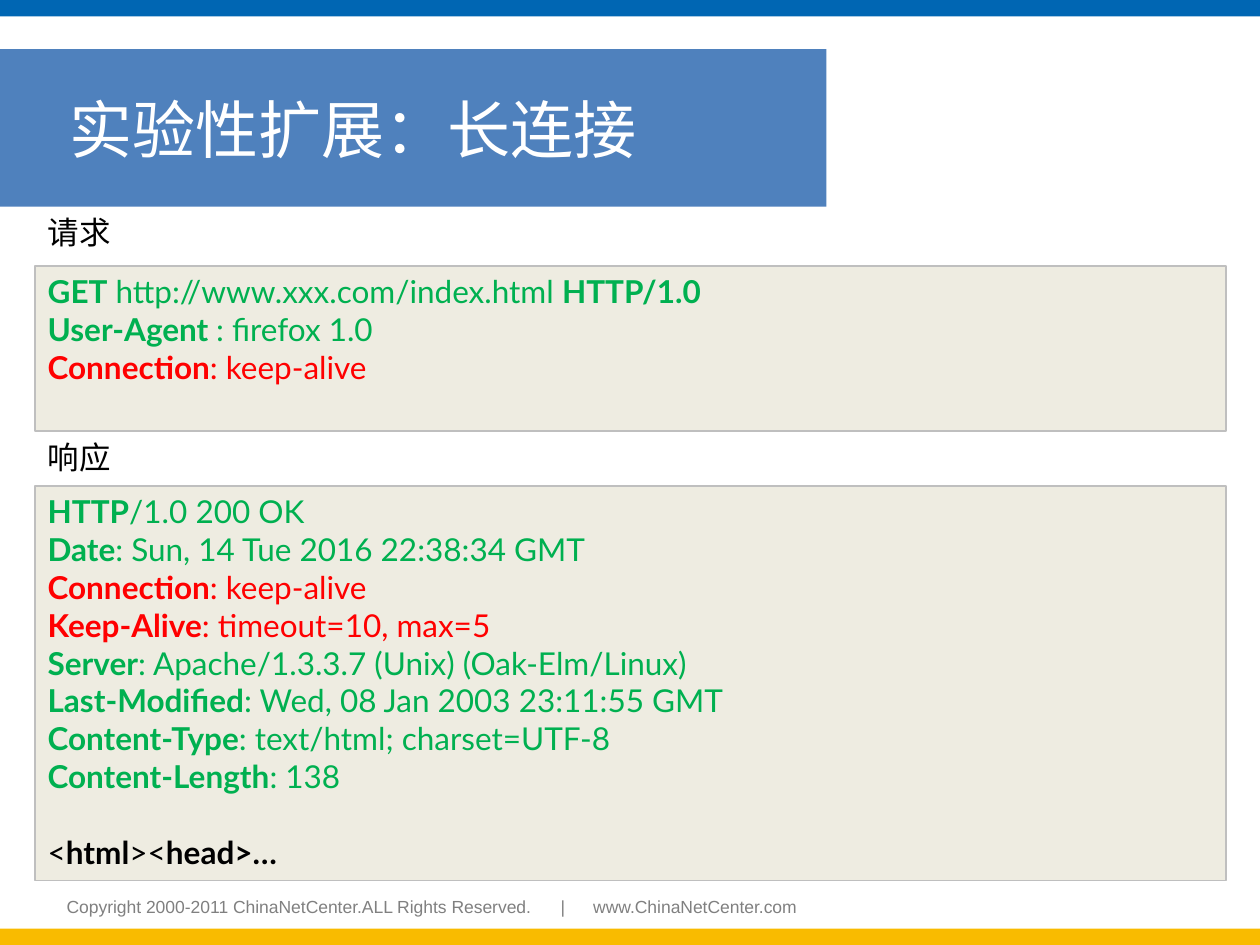
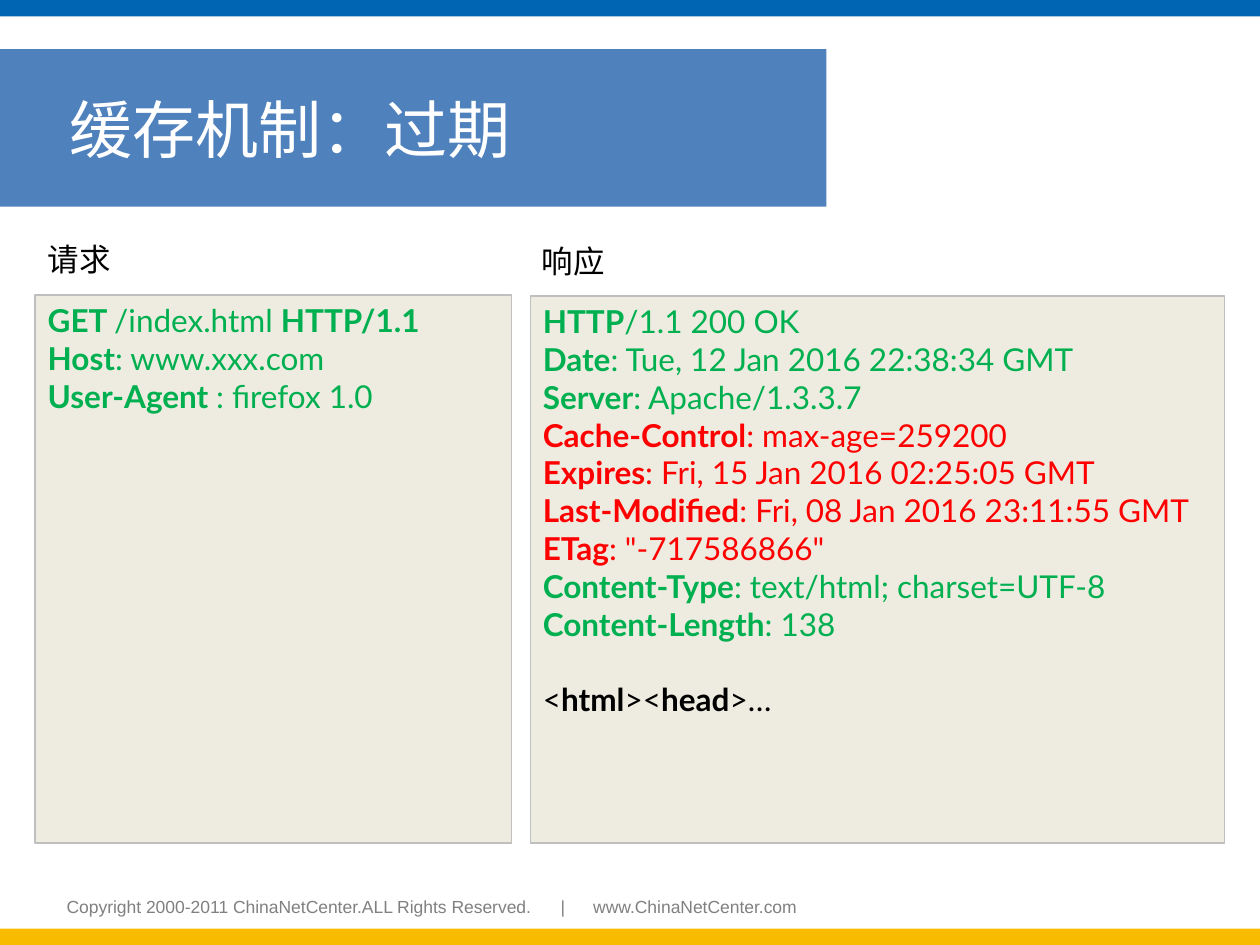
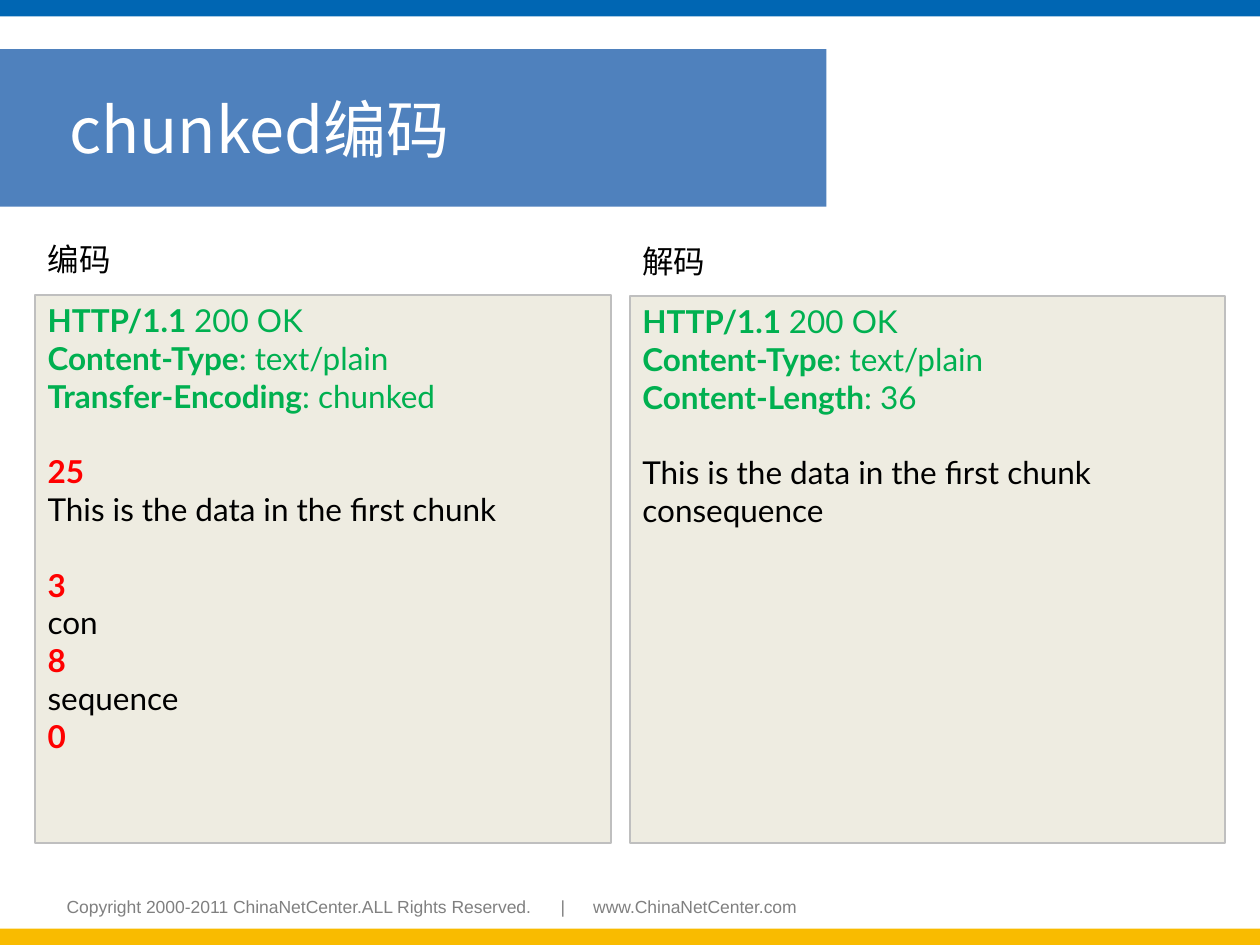
from dataclasses import dataclass

from lxml import etree
from pptx import Presentation
from pptx.dml.color import RGBColor
from pptx.enum.shapes import MSO_SHAPE
from pptx.enum.text import MSO_ANCHOR, MSO_AUTO_SIZE, PP_ALIGN
from pptx.oxml.ns import qn
from pptx.util import Inches, Pt


@dataclass(frozen=True)
class Theme:
    top_band: str = "0066B3"
    bottom_band: str = "F9BB00"
    title_band: str = "4F81BD"
    title_text: str = "FFFFFF"
    panel: str = "EEECE1"
    panel_border: str = "BFBFBF"
    header: str = "00B050"
    key_header: str = "FF0000"
    body: str = "000000"
    footer: str = "808080"
    cjk_font: str = "Noto Sans CJK SC"
    code_font: str = "Lato"
    footer_font: str = "Arial"
    title_size: int = 36
    text_size: int = 18
    footer_size: int = 10
    blank_line: float = 21.6


theme = Theme()


def style_run(run, font, size, colour, bold=False):
    run.font.name = font
    run.font.size = Pt(size)
    run.font.bold = bold
    run.font.color.rgb = RGBColor.from_string(colour)
    east_asian = etree.Element(qn("a:ea"), typeface=font)
    run.font._element.find(qn("a:latin")).addnext(east_asian)


def add_rectangle(slide, box, fill):
    rectangle = slide.shapes.add_shape(MSO_SHAPE.RECTANGLE, *map(Inches, box))
    rectangle.shadow.inherit = False
    rectangle.fill.solid()
    rectangle.fill.fore_color.rgb = RGBColor.from_string(fill)
    rectangle.line.fill.background()
    return rectangle


# Each line has a colour and a text whose parts between asterisks are bold;
# an empty text leaves a gap before the next line.
GREEN, RED, BLACK = theme.header, theme.key_header, theme.body

# Each panel: label, label left/top/width, panel box, lines
content = [
    ("实验性扩展：长连接", [
        ("请求", (0.28, 1.64, 1.42), (0.28, 2.11, 9.45, 1.31), [
            (GREEN, "*GET* http://www.xxx.com/index.html *HTTP/1.0*"),
            (GREEN, "*User-Agent *: firefox 1.0"),
            (RED, "*Connection*: keep-alive"),
        ]),
        ("响应", (0.28, 3.43, 1.42), (0.28, 3.86, 9.45, 3.13), [
            (GREEN, "*HTTP*/1.0 200 OK"),
            (GREEN, "*Date*: Sun, 14 Tue 2016 22:38:34 GMT"),
            (RED, "*Connection*: keep-alive"),
            (RED, "*Keep-Alive*: timeout=10, max=5"),
            (GREEN, "*Server*: Apache/1.3.3.7 (Unix) (Oak-Elm/Linux)"),
            (GREEN, "*Last-Modified*: Wed, 08 Jan 2003 23:11:55 GMT"),
            (GREEN, "*Content-Type*: text/html; charset=UTF-8"),
            (GREEN, "*Content-Length*: 138"),
            (BLACK, ""),
            (BLACK, "<*html*><*head>…*"),
        ]),
    ]),
    ("缓存机制：过期", [
        ("请求", (0.28, 1.86, 1.42), (0.28, 2.34, 3.78, 4.35), [
            (GREEN, "*GET */index.html *HTTP/1.1*"),
            (GREEN, "*Host*: www.xxx.com"),
            (GREEN, "*User-Agent *: firefox 1.0"),
        ]),
        ("响应", (4.2, 1.87, 1.27), (4.21, 2.35, 5.51, 4.34), [
            (GREEN, "*HTTP*/1.1 200 OK"),
            (GREEN, "*Date*: Tue, 12 Jan 2016 22:38:34 GMT"),
            (GREEN, "*Server*: Apache/1.3.3.7"),
            (RED, "*Cache-Control*: max-age=259200"),
            (RED, "*Expires*: Fri, 15 Jan 2016 02:25:05 GMT"),
            (RED, "*Last-Modified*: Fri, 08 Jan 2016 23:11:55 GMT"),
            (RED, '*ETag*: "-717586866"'),
            (GREEN, "*Content-Type*: text/html; charset=UTF-8"),
            (GREEN, "*Content-Length*: 138"),
            (BLACK, ""),
            (BLACK, "<*html*><*head*>…"),
        ]),
    ]),
    ("chunked编码", [
        ("编码", (0.28, 1.86, 1.42), (0.28, 2.34, 4.57, 4.35), [
            (GREEN, "*HTTP/1.1 *200 OK"),
            (GREEN, "*Content-Type*: text/plain"),
            (GREEN, "*Transfer-Encoding*: chunked"),
            (BLACK, ""),
            (RED, "*25*"),
            (BLACK, "This is the data in the first chunk"),
            (BLACK, ""),
            (RED, "*3*"),
            (BLACK, "con"),
            (RED, "*8*"),
            (BLACK, "sequence"),
            (RED, "*0*"),
        ]),
        ("解码", (5, 1.87, 1.27), (5, 2.35, 4.72, 4.34), [
            (GREEN, "*HTTP/1.1 *200 OK"),
            (GREEN, "*Content-Type*: text/plain"),
            (GREEN, "*Content-Length*: 36"),
            (BLACK, ""),
            (BLACK, "This is the data in the first chunk"),
            (BLACK, "consequence"),
        ]),
    ]),
]

prs = Presentation()
prs.slide_width, prs.slide_height = Inches(10), Inches(7.5)
title_only = prs.slide_layouts[5]
slides = [prs.slides.add_slide(title_only) for _ in content]

# Bands and footer are drawn once, then moved to the slide master
bottom_band = add_rectangle(slides[0], (0, 7.37, 10, 0.13), theme.bottom_band)
top_band = add_rectangle(slides[0], (0, 0, 10, 0.13), theme.top_band)
footer = slides[0].shapes.add_textbox(
    Inches(0.43), Inches(7.06), Inches(6.09), Inches(0.44))
footer.text_frame.word_wrap = True
footer_line = footer.text_frame.paragraphs[0]
footer_line.text = (
    "Copyright 2000-2011 ChinaNetCenter.ALL Rights Reserved.\t|\twww.ChinaNetCenter.com")
tab_stops = etree.SubElement(footer_line._p.get_or_add_pPr(), qn("a:tabLst"))
for position in (3.92, 4.18):
    etree.SubElement(tab_stops, qn("a:tab"), pos=str(Inches(position)), algn="l")
for run in footer_line.runs:
    style_run(run, theme.footer_font, theme.footer_size, theme.footer)
for shape_id, shared in enumerate((bottom_band, top_band, footer), start=101):
    shared.element.nvSpPr.cNvPr.set("id", str(shape_id))
    prs.slide_master.shapes.element.append(shared.element)

for slide, (heading, panels) in zip(slides, content):
    title = slide.shapes.title
    title.left, title.top = Inches(0), Inches(0.39)
    title.width, title.height = Inches(6.56), Inches(1.25)
    title.fill.solid()
    title.fill.fore_color.rgb = RGBColor.from_string(theme.title_band)
    title.text_frame.text = heading
    title.text_frame.auto_size = MSO_AUTO_SIZE.NONE
    title.text_frame.vertical_anchor = MSO_ANCHOR.MIDDLE
    title.text_frame.margin_left = Inches(0.55)
    title_line = title.text_frame.paragraphs[0]
    title_line.alignment = PP_ALIGN.LEFT
    style_run(title_line.runs[0], theme.cjk_font, theme.title_size, theme.title_text)

    for label_text, (left, top, width), panel_box, lines in panels:
        panel = add_rectangle(slide, panel_box, theme.panel)
        panel.line.color.rgb = RGBColor.from_string(theme.panel_border)
        panel.line.width = Pt(1)
        message = panel.text_frame
        message.word_wrap = True
        message.vertical_anchor = MSO_ANCHOR.TOP
        after_blank = False
        for number, (colour, line) in enumerate(lines):
            if not line:
                after_blank = True
                continue
            paragraph = message.add_paragraph() if number else message.paragraphs[0]
            paragraph.alignment = PP_ALIGN.LEFT
            if after_blank:
                paragraph.space_before = Pt(theme.blank_line)
                after_blank = False
            for part, words in enumerate(line.split("*")):
                if words:
                    run = paragraph.add_run()
                    run.text = words
                    style_run(run, theme.code_font, theme.text_size, colour,
                              bold=part % 2 == 1)

        label = slide.shapes.add_textbox(
            Inches(left), Inches(top), Inches(width), Inches(0.4))
        label.text_frame.word_wrap = True
        label.text_frame.text = label_text
        style_run(label.text_frame.paragraphs[0].runs[0],
                  theme.cjk_font, theme.text_size, theme.body)

prs.save("out.pptx")
